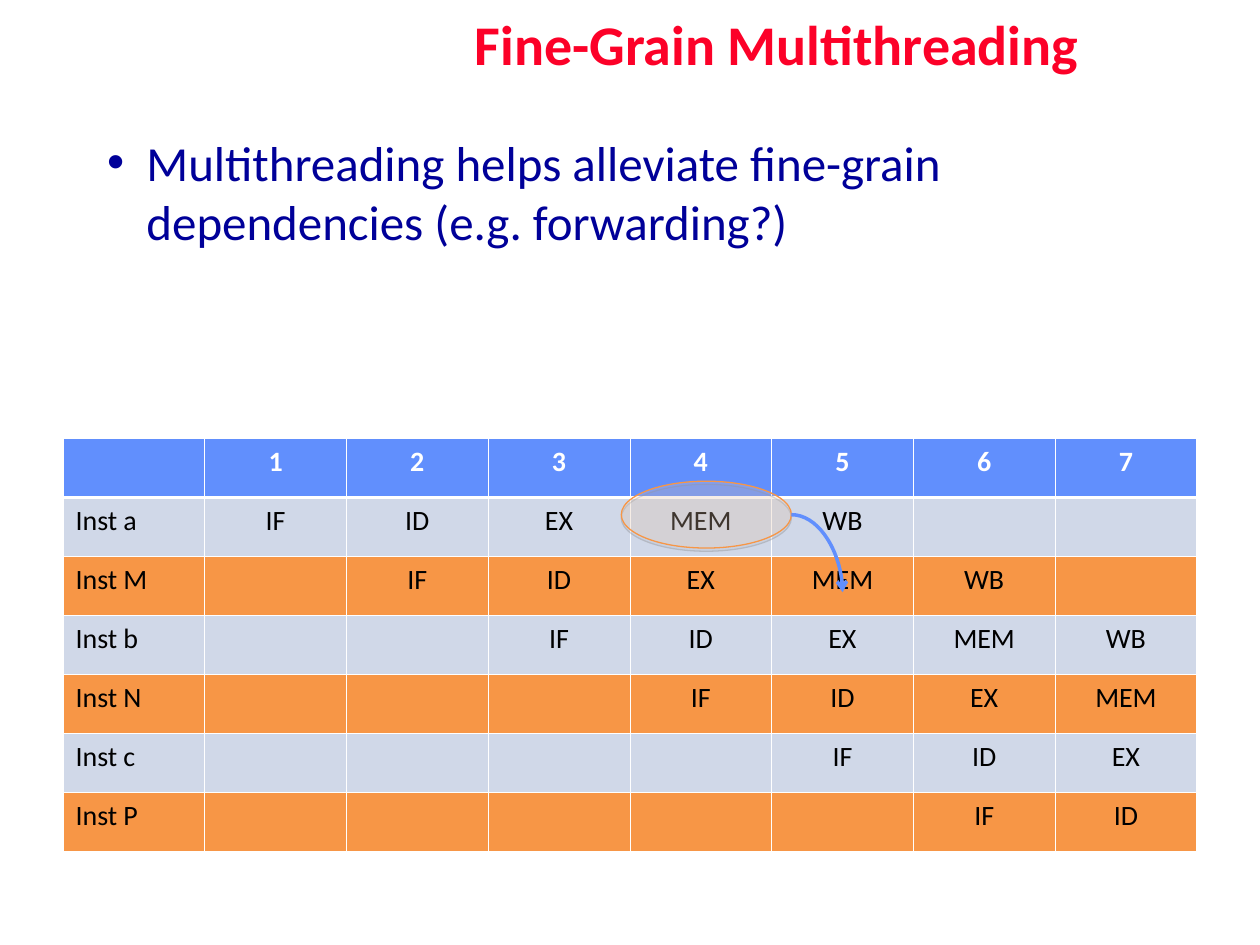
from lxml import etree
from pptx import Presentation
from pptx.dml.color import RGBColor
from pptx.enum.shapes import MSO_CONNECTOR, MSO_SHAPE
from pptx.enum.text import MSO_ANCHOR, MSO_AUTO_SIZE, PP_ALIGN
from pptx.oxml.ns import qn
from pptx.util import Pt

TITLE = "Fine-Grain Multithreading"
POINT = "Multithreading helps alleviate fine-grain dependencies (e.g. forwarding?)"
STAGES = ["IF", "ID", "EX", "MEM", "WB"]
INSTS = ["Inst a", "Inst M", "Inst b", "Inst N", "Inst c", "Inst P"]
CYCLES = 7

THEME = {
    "font": "Calibri",
    "title": ("FC0128", 32),
    "body": ("000099", 28),
    "head": ("FFFFFF", 16),
    "cell": ("000000", 16),
    "blue": "618FFD",
    "bands": ("D0D8E8", "F79646"),
    "rule": "FFFFFF",
    "oval": "FCD5B5",
    "edge": "F79646",
    "shade": "808080",
}

LEFT, CENTER = PP_ALIGN.LEFT, PP_ALIGN.CENTER
MIDDLE, TOP = MSO_ANCHOR.MIDDLE, MSO_ANCHOR.TOP
FIXED = MSO_AUTO_SIZE.NONE
CURVE, OVAL = MSO_CONNECTOR.CURVE, MSO_SHAPE.OVAL

TABLE_X, TABLE_Y = 36, 250.6
COL_W, ROW_H = 81, 33.7
THIN, THICK = 0.45, 1.47
OVAL_BOX = (355, 275, 97.2, 38.2)


def rgb(code):
    return RGBColor.from_string(code)


def node(parent, tag, **attrs):
    return etree.SubElement(parent, qn(tag), {k: str(v) for k, v in attrs.items()})


def tint(parent, code, alpha):
    color = node(parent, "a:srgbClr", val=code)
    node(color, "a:alpha", val=alpha * 1000)


def style(para, look, bold=False):
    code, size = THEME[look]
    for run in para.runs:
        run.font.name = THEME["font"]
        run.font.size = Pt(size)
        run.font.bold = bold
        run.font.color.rgb = rgb(code)


def place(shape, x, y, w, h):
    shape.left, shape.top, shape.width, shape.height = Pt(x), Pt(y), Pt(w), Pt(h)


def write(holder, box, text, look, anchor, bold=False):
    place(holder, *box)
    frame = holder.text_frame
    frame.text = text
    frame.word_wrap = True
    frame.auto_size = FIXED
    frame.vertical_anchor = anchor
    para = frame.paragraphs[0]
    style(para, look, bold)
    return para


def border(cell, row):
    props = cell._tc.get_or_add_tcPr()
    widths = {
        "a:lnL": THIN,
        "a:lnR": THIN,
        "a:lnT": THICK if row == 1 else THIN,
        "a:lnB": THICK if row == 0 else THIN,
    }
    for tag, width in widths.items():
        line = node(props, tag, w=int(Pt(width)))
        node(node(line, "a:solidFill"), "a:srgbClr", val=THEME["rule"])


def grid():
    rows = [[""] + [str(n + 1) for n in range(CYCLES)]]
    for start, name in enumerate(INSTS):
        row = [""] * start + STAGES + [""] * CYCLES
        rows.append([name] + row[:CYCLES])
    return rows


def add_grid(slide):
    rows = grid()
    count, cols = len(rows), CYCLES + 1
    table = slide.shapes.add_table(
        count, cols, Pt(TABLE_X), Pt(TABLE_Y), Pt(COL_W * cols), Pt(ROW_H * count)
    ).table
    table.horz_banding = False
    for col in table.columns:
        col.width = Pt(COL_W)
    for r, row in enumerate(rows):
        table.rows[r].height = Pt(ROW_H)
        for c, text in enumerate(row):
            cell = table.cell(r, c)
            border(cell, r)
            cell.fill.solid()
            cell.fill.fore_color.rgb = rgb(THEME["bands"][(r - 1) % 2] if r else THEME["blue"])
            if text:
                cell.text = text
                para = cell.text_frame.paragraphs[0]
                para.alignment = CENTER if c else LEFT
                style(para, "cell" if r else "head", bold=r == 0)


def add_oval(slide):
    oval = slide.shapes.add_shape(OVAL, *map(Pt, OVAL_BOX))
    oval.shadow.inherit = False
    oval.fill.solid()
    oval.fill.fore_color.rgb = rgb(THEME["oval"])
    color = oval.element.spPr.find(qn("a:solidFill"))[0]
    node(color, "a:alpha", val=22000)
    oval.line.color.rgb = rgb(THEME["edge"])
    oval.line.width = Pt(0.75)
    effects = oval.element.spPr.find(qn("a:effectLst"))
    shade = node(effects, "a:outerShdw", blurRad=0, dist=int(Pt(1.8)), dir=5400000, rotWithShape=0)
    tint(shade, THEME["shade"], 35)


def add_arrow(slide):
    x, y, w, h = OVAL_BOX
    start = (x + w, y + h / 2)
    end = (TABLE_X + 5.5 * COL_W, 338.4)
    arrow = slide.shapes.add_connector(CURVE, *map(Pt, start + end))
    arrow.line.color.rgb = rgb(THEME["blue"])
    arrow.line.width = Pt(2)
    props = arrow.element.spPr
    props.find(qn("a:prstGeom")).set("prst", "curvedConnector2")
    node(props.find(qn("a:ln")), "a:tailEnd", type="arrow")
    node(props, "a:effectLst")


def main():
    deck = Presentation()
    deck.slide_width, deck.slide_height = Pt(720), Pt(540)
    slide = deck.slides.add_slide(deck.slide_layouts[1])
    title, body = slide.placeholders

    head = write(title, (168, 0, 552, 54), TITLE, "title", MIDDLE, bold=True)
    head.alignment = CENTER
    head.line_spacing = 0.9

    point = write(body, (54, 72, 636, 110), POINT, "body", TOP)
    point.space_before = Pt(35)
    props = point._p.get_or_add_pPr()
    props.set("marL", str(int(Pt(22.5))))
    props.set("indent", str(int(Pt(-22.5))))
    node(node(props, "a:buClr"), "a:srgbClr", val=THEME["body"][0])
    node(props, "a:buChar", char="•")

    add_grid(slide)
    add_oval(slide)
    add_arrow(slide)
    deck.save("out.pptx")


if __name__ == "__main__":
    main()
